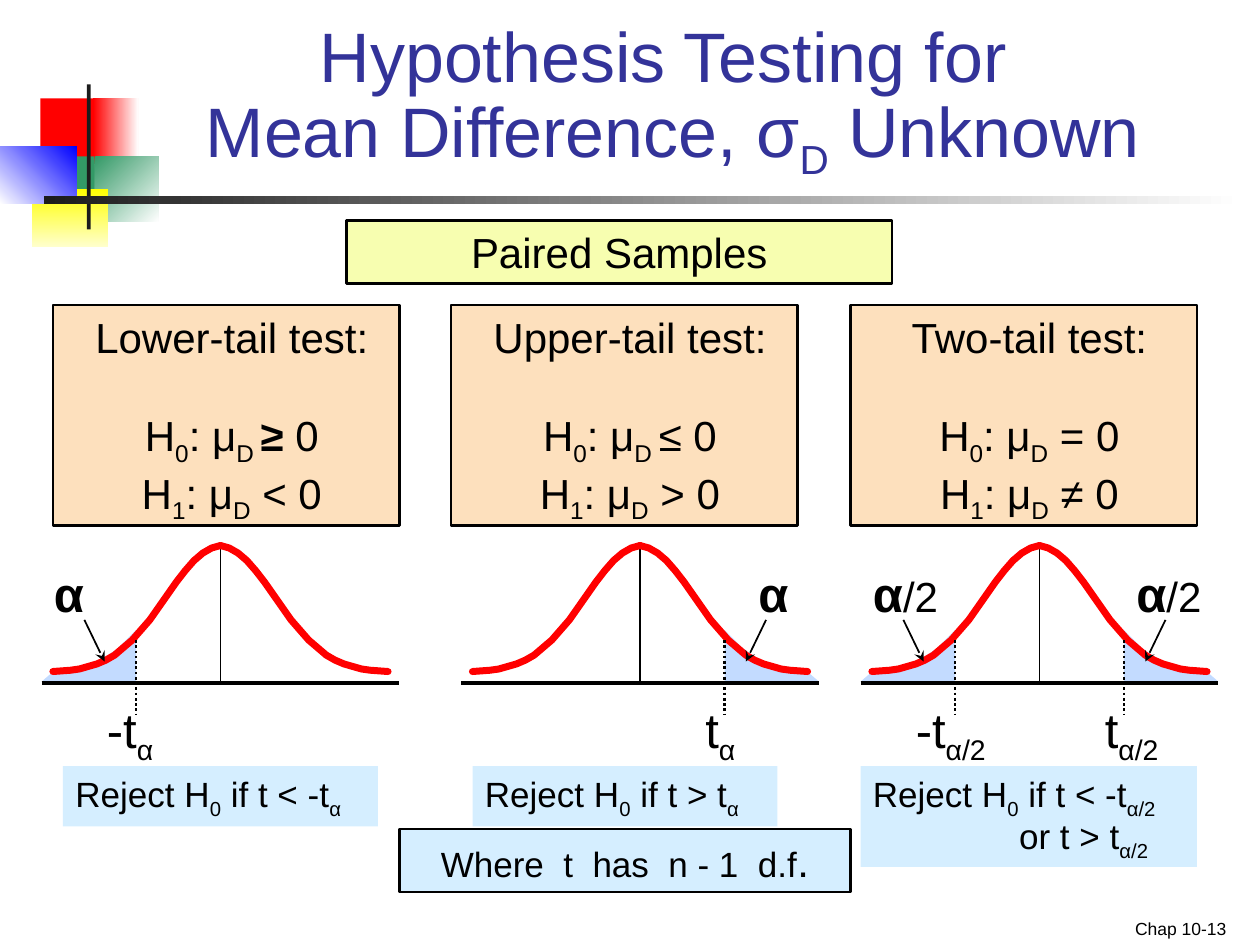
from dataclasses import dataclass
from typing import Any

from lxml import etree
from pptx import Presentation
from pptx.dml.color import RGBColor
from pptx.enum.dml import MSO_LINE
from pptx.enum.shapes import MSO_CONNECTOR, MSO_SHAPE
from pptx.enum.text import MSO_ANCHOR, PP_ALIGN
from pptx.oxml.ns import qn
from pptx.util import Inches, Pt

RECTANGLE, STRAIGHT = MSO_SHAPE.RECTANGLE, MSO_CONNECTOR.STRAIGHT
LEFT, CENTER, RIGHT = PP_ALIGN.LEFT, PP_ALIGN.CENTER, PP_ALIGN.RIGHT
TOP, BOTTOM = MSO_ANCHOR.TOP, MSO_ANCHOR.BOTTOM
DOTTED = MSO_LINE.ROUND_DOT

BLACK = RGBColor(0x00, 0x00, 0x00)
CHARCOAL = RGBColor(0x1C, 0x1C, 0x1C)
WHITE = RGBColor(0xFF, 0xFF, 0xFF)
RED = RGBColor(0xFF, 0x00, 0x00)
GREEN = RGBColor(0x33, 0x99, 0x66)
YELLOW = RGBColor(0xFF, 0xFF, 0x00)
CREAM = RGBColor(0xFF, 0xFF, 0xCC)
BLUE = RGBColor(0x00, 0x00, 0xFF)
INDIGO = RGBColor(0x33, 0x33, 0x99)
PEACH = RGBColor(0xFD, 0xE0, 0xBD)
LEMON = RGBColor(0xF7, 0xFE, 0xB0)
TAIL_BLUE = RGBColor(0xC3, 0xDB, 0xFF)
SKY = RGBColor(0xD5, 0xEE, 0xFF)

# Left half of the bell and of its tail: distance from the centre, height on the slide
BELL = [(1.33, 5.33), (1.19, 5.32), (1.12, 5.31), (1.05, 5.29), (0.98, 5.27), (0.91, 5.24),
        (0.84, 5.2), (0.7, 5.08), (0.56, 4.92), (0.42, 4.72), (0.35, 4.62), (0.28, 4.53),
        (0.21, 4.45), (0.14, 4.39), (0.07, 4.35), (0, 4.33)]
TAIL = [(1.42, 5.41), (1.35, 5.35), (1.1, 5.3), (0.97, 5.25), (0.82, 5.15), (0.67, 5),
        (0.67, 5.41)]
HALF_AXIS, CRITICAL = 1.42, 0.67


@dataclass
class SlideBuilder:
    slide: Any
    font: str = "Arial"
    ink: RGBColor = BLACK

    def outline(self, shape, color, width):
        if color is None:
            shape.line.fill.background()
        else:
            shape.line.color.rgb = color
            shape.line.width = Pt(width)

    def rectangle(self, box, fill, fill_end=None, angle=0, border=None):
        shape = self.slide.shapes.add_shape(RECTANGLE, *map(Inches, box))
        shape.shadow.inherit = False
        if fill_end is None:
            shape.fill.solid()
            shape.fill.fore_color.rgb = fill
        else:
            shape.fill.gradient()
            shape.fill.gradient_angle = angle
            for stop, color in zip(shape.fill.gradient_stops, (fill, fill_end)):
                stop.color.rgb = color
        self.outline(shape, border, 1.5)
        return shape

    def set_text(self, shape, paragraphs, size, color=None, anchor=TOP, align=LEFT, formats=()):
        """Text between tildes is subscript; a (text, format) pair overrides the font."""
        frame = shape.text_frame
        frame.word_wrap = True
        frame.vertical_anchor = anchor
        for index, pieces in enumerate(paragraphs):
            paragraph = frame.paragraphs[0] if index == 0 else frame.add_paragraph()
            paragraph.alignment = align
            for name, value in dict(formats).get(index, {}).items():
                setattr(paragraph, name, value)
            for piece in pieces:
                text, override = (piece, {}) if isinstance(piece, str) else piece
                style = {"name": self.font, "size": Pt(size), "bold": False, **override}
                for part, content in enumerate(text.split("~")):
                    if content:
                        self.add_runs(paragraph, content, style, color or self.ink, part % 2)

    def add_runs(self, paragraph, content, style, color, subscript):
        for line, words in enumerate(content.split("\n")):
            if line:
                paragraph.add_line_break()
            run = paragraph.add_run()
            run.text = words
            for name, value in style.items():
                setattr(run.font, name, value)
            run.font.color.rgb = color
            if subscript:
                run._r.get_or_add_rPr().set("baseline", "-25000")

    def text(self, box, paragraphs, size, **options):
        shape = self.slide.shapes.add_textbox(*map(Inches, box))
        self.set_text(shape, paragraphs, size, **options)

    def line(self, start, end, width, dash=None, arrow=False):
        connector = self.slide.shapes.add_connector(STRAIGHT, *map(Inches, (*start, *end)))
        self.outline(connector, self.ink, width)
        if dash:
            connector.line.dash_style = dash
        if arrow:
            etree.SubElement(connector.line._get_or_add_ln(), qn("a:tailEnd"), type="stealth")
        etree.SubElement(connector._element.spPr, qn("a:effectLst"))

    def freeform(self, points, fill=None, stroke=None):
        points = [(Inches(x), Inches(y)) for x, y in points]
        builder = self.slide.shapes.build_freeform(*points[0])
        builder.add_line_segments(points[1:], close=fill is not None)
        shape = builder.convert_to_shape()
        shape.shadow.inherit = False
        if fill is None:
            shape.fill.background()
        else:
            shape.fill.solid()
            shape.fill.fore_color.rgb = fill
        self.outline(shape, stroke, 4)
        if stroke is not None:
            shape.line._get_or_add_ln().set("cap", "rnd")

    def hypotheses(self, left, name, null, alternative):
        self.rectangle((left, 2.42, 2.75, 1.75), PEACH, border=BLACK)
        rows = [[name], ["H~0~: μ~D~", *null], ["H~1~: μ~D~", alternative]]
        self.text((left - 0.08, 2.42, 3, 1.81), rows, 24, align=CENTER,
                  formats={1: {"space_before": Pt(27.6)}})

    def bell(self, center, sides):
        for side in sides:
            self.freeform([(center + side * x, y) for x, y in TAIL], fill=TAIL_BLUE)
        self.line((center, 4.33), (center, 5.42), 0.75)
        for side in (-1, 1):
            self.freeform([(center + side * x, y) for x, y in BELL], stroke=RED)
        self.line((center - HALF_AXIS, 5.42), (center + HALF_AXIS, 5.42), 2)

    def tail_labels(self, center, side, area, area_left, value, value_left):
        self.text((center + area_left, 4.42, 0.42 if len(area) == 1 else 0.92, 0.56), [area], 28)
        shift = -1.08 if side < 0 else 1
        self.line((center + shift, 4.92), (center + shift - side * 0.16, 5.25), 1, arrow=True)
        self.text((center + value_left, 5.5, 1.08, 0.63), [[value]], 28)
        critical = center + side * CRITICAL
        self.line((critical, 5.08), (critical, 5.67), 1.5, dash=DOTTED)


def main():
    presentation = Presentation()
    presentation.slide_width, presentation.slide_height = Inches(10), Inches(7.5)
    builder = SlideBuilder(presentation.slides.add_slide(presentation.slide_layouts[6]))

    # Corner decoration and title rule
    for box, *fill in [
        ((0.32, 0.78, 0.48, 0.52), RED),
        ((0.74, 0.78, 0.36, 0.52), RED, WHITE, 0),
        ((0.75, 1.24, 0.51, 0.52), GREEN, WHITE, 315),
        ((0.43, 1.24, 0.32, 0.52), GREEN),
        ((0.25, 1.5, 0.61, 0.46), YELLOW, CREAM, 270),
        ((0, 1.16, 0.61, 0.46), WHITE, BLUE, 45),
        ((0.69, 0.67, 0.03, 1.15), CHARCOAL),
        ((0.35, 1.56, 9.51, 0.06), CHARCOAL, WHITE, 0),
    ]:
        builder.rectangle(box, *fill)

    # Title, subtitle and page label
    builder.text((1.08, 0.25, 8.52, 1.17),
                 [["Hypothesis Testing for \nMean Difference, σ~D~ Unknown"]], 40, color=INDIGO,
                 anchor=BOTTOM, align=CENTER, formats={0: {"line_spacing": 0.8}})
    builder.rectangle((2.75, 1.75, 4.33, 0.5), LEMON, border=BLACK)
    builder.text((3, 1.75, 3.83, 0.5), [["Paired Samples"]], 24, align=CENTER)
    builder.text((7.5, 7.15, 2.33, 0.35), [["Chap 10-13"]], 10, anchor=BOTTOM, align=RIGHT)

    # Hypotheses
    bold = {"bold": True}
    builder.hypotheses(0.42, "Lower-tail test:", ["~ ~", ("≥", bold), " 0"], " < 0")
    builder.hypotheses(3.58, "Upper-tail test:", ["~ ~≤ 0"], " > 0")
    builder.hypotheses(6.75, "Two-tail test:", [" = 0"], " ≠ 0")

    # Distributions with their rejection regions
    alpha = [("α", bold)]
    half_alpha = alpha + [("/2", {"size": Pt(24)})]
    for center, tails in [
        (1.75, [(-1, alpha, -1.42, "-t~α~", -1)]),
        (5.08, [(1, alpha, 0.84, "t~α~", 0.42)]),
        (8.25, [(-1, half_alpha, -1.42, "-t~α/2~", -1.08),
                (1, half_alpha, 0.67, "t~α/2~", 0.42)]),
    ]:
        builder.bell(center, [tail[0] for tail in tails])
        for tail in tails:
            builder.tail_labels(center, *tail)

    # Decision rules
    for box, rows in [
        ((0.5, 6.08, 2.5, 0.48), [["Reject H~0~ if t < -t~α~"]]),
        ((3.75, 6.08, 2.42, 0.48), [["Reject H~0~ if t > t~α~"]]),
        ((6.83, 6.08, 2.67, 0.8), [["Reject H~0~ if t < -t~α/2~"], ["or t > t~α/2~"]]),
    ]:
        rule = builder.rectangle(box, SKY)
        builder.set_text(rule, rows, 20,
                         formats={1: {"line_spacing": 0.2, "space_before": Pt(12.5)}})
        for paragraph in rule.text_frame.paragraphs[1:]:
            paragraph._p.get_or_add_pPr().set("marL", str(Inches(1.16)))
    freedom = builder.rectangle((3.17, 6.58, 3.58, 0.5), SKY, border=BLACK)
    builder.set_text(freedom, [["Where  t  has  n - 1  d.f", (".", {"size": Pt(24)})]], 20,
                     align=CENTER)

    presentation.save("out.pptx")


if __name__ == "__main__":
    main()
